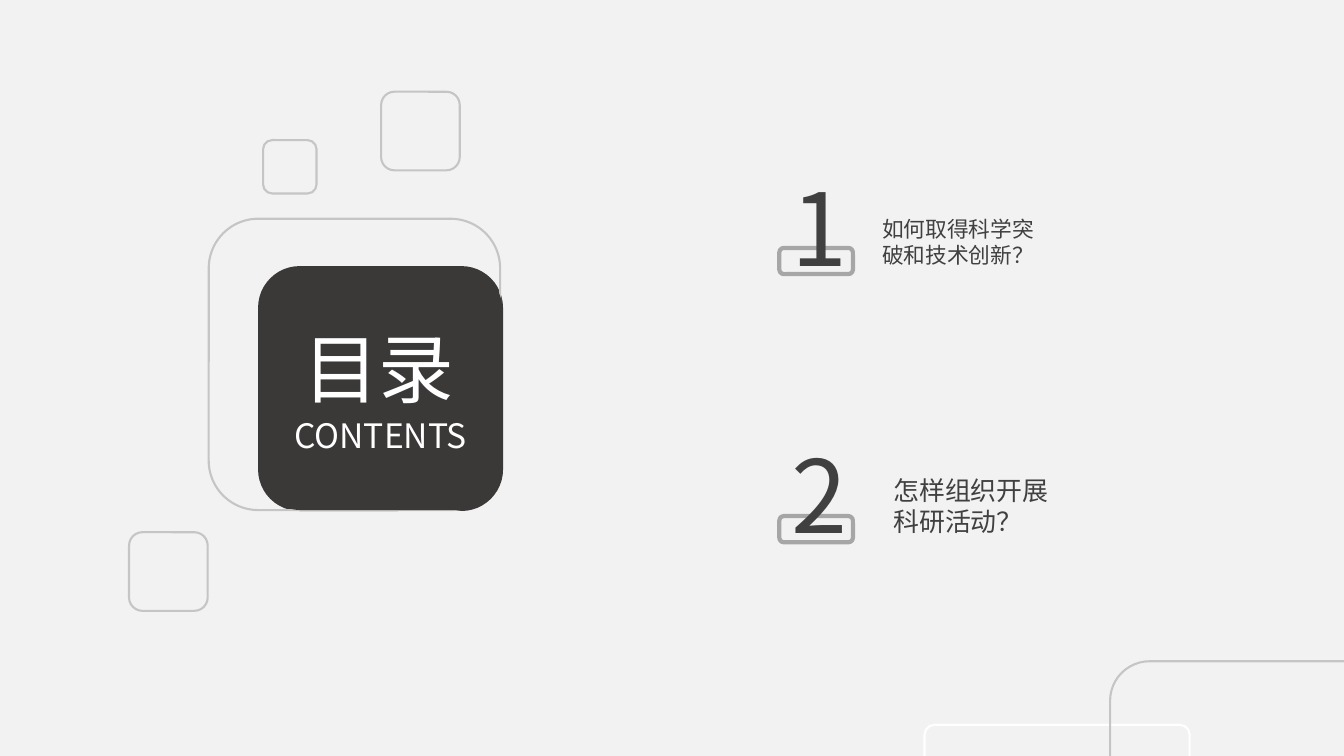
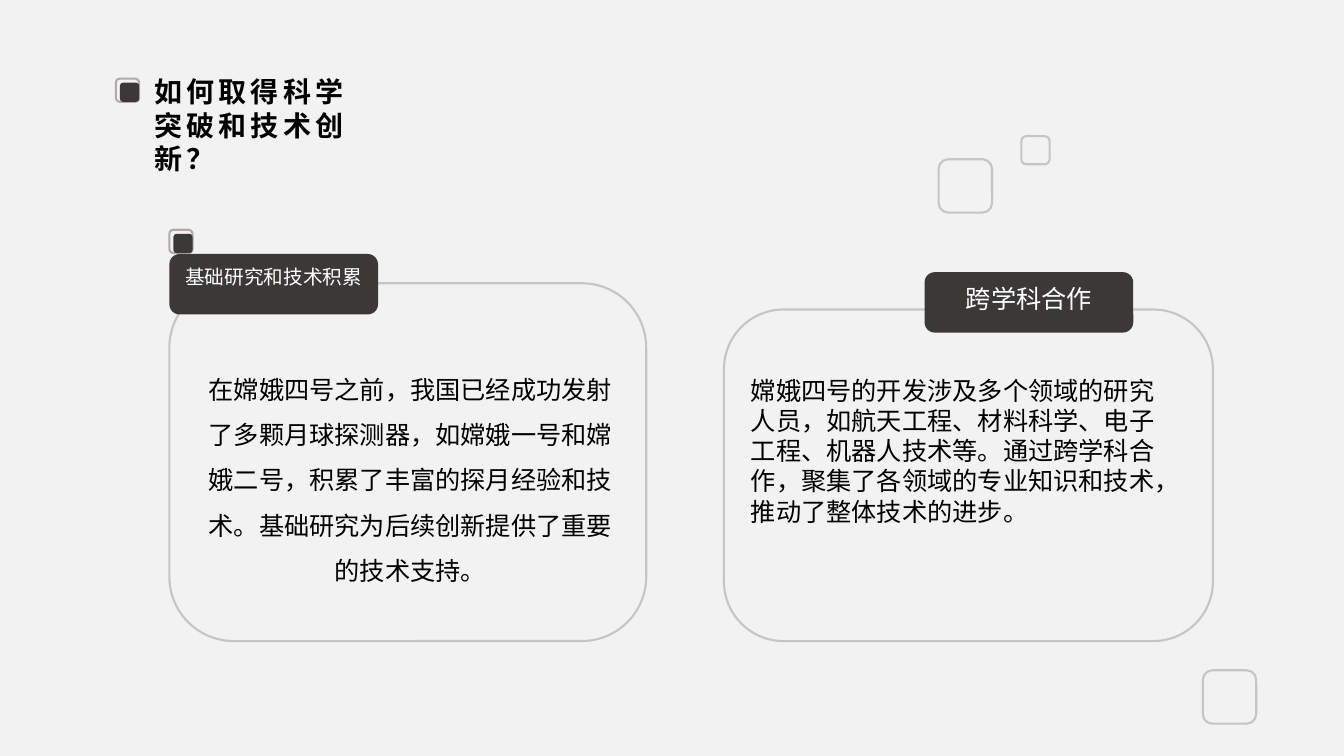
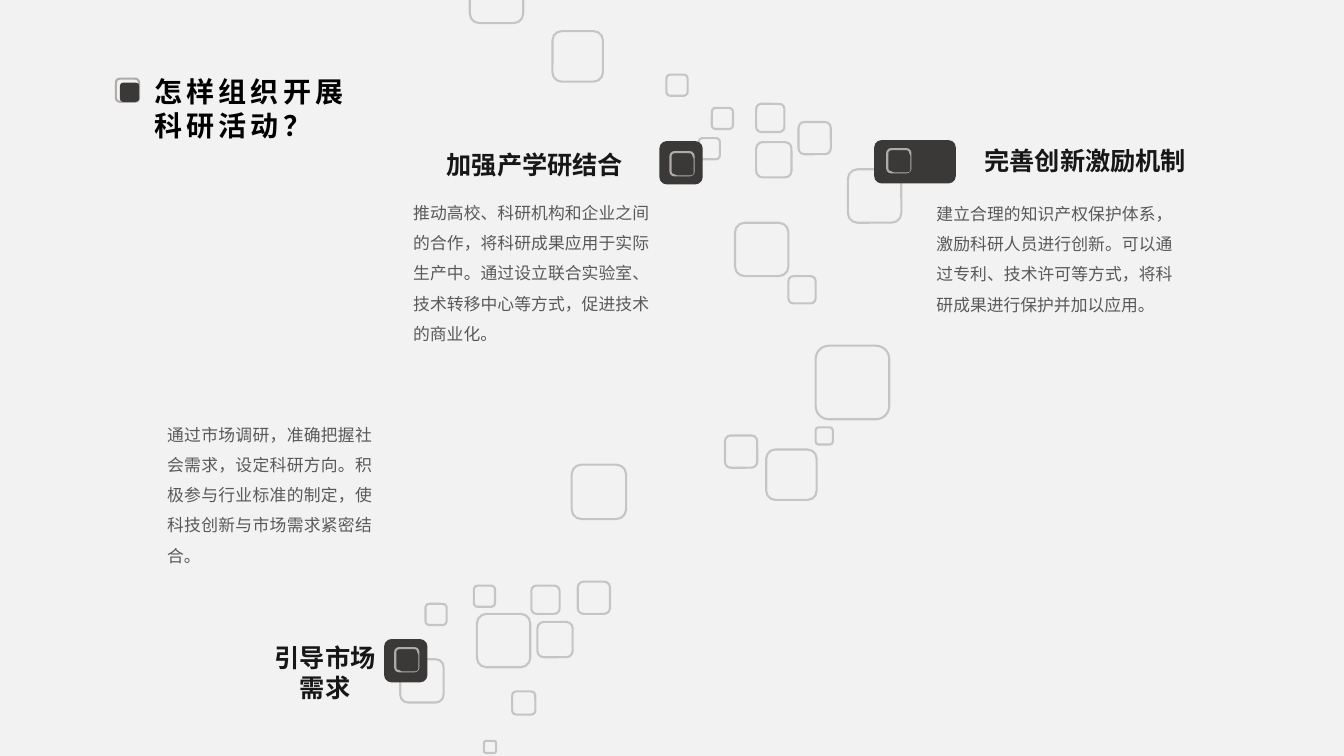
import pptx
import pptx.util
import pptx.dml.color
import pptx.enum.shapes
import pptx.enum.text
import pptx.oxml.ns
import lxml.etree

PX = 9144  # EMU in one px, 100 px to the inch
SANS, HEADING_FONT = "Noto Sans CJK SC", "Arial"
PAPER, DARK, OUTLINE, FRAME = "F2F2F2", "3B3838", "C5C5C5", "AFABAB"
NUMBER_GREY, BODY_GREY, HEADING_INK = "404040", "595959", "181717"
WHITE, BLACK = "FFFFFF", "000000"
ALIGN = pptx.enum.text.PP_ALIGN
rgb = pptx.dml.color.RGBColor.from_string


def add_tile(slide, box, fill=None, line=None, weight=1.5, rounding=0.17):
    tile = slide.shapes.add_shape(
        pptx.enum.shapes.MSO_SHAPE.ROUNDED_RECTANGLE, *[v * PX for v in box])
    tile.shadow.inherit = False
    tile.adjustments[0] = rounding
    if fill:
        tile.fill.solid()
        tile.fill.fore_color.rgb = rgb(fill)
    else:
        tile.fill.background()
    if line:
        tile.line.color.rgb = rgb(line)
        tile.line.width = pptx.util.Pt(weight)
    else:
        tile.line.fill.background()


def add_text(slide, box, text, size, color, font=SANS, bold=False, align=None,
             leading=None, tracking=0, wrap=True, grow=True, fill=None):
    area = slide.shapes.add_textbox(*[v * PX for v in box])
    if fill:
        area.fill.solid()
        area.fill.fore_color.rgb = rgb(fill)
    frame = area.text_frame
    frame.word_wrap = wrap
    if grow:
        frame.auto_size = pptx.enum.text.MSO_AUTO_SIZE.SHAPE_TO_FIT_TEXT
    else:
        frame.vertical_anchor = pptx.enum.text.MSO_ANCHOR.MIDDLE
        frame.margin_left = frame.margin_right = 13 * PX
        frame.margin_top = frame.margin_bottom = 7 * PX
    paragraph = frame.paragraphs[0]
    paragraph.text = text
    paragraph.alignment = align
    paragraph.line_spacing = leading
    paragraph.font.name = font
    paragraph.font.size = pptx.util.Pt(size)
    paragraph.font.bold = bold
    paragraph.font.color.rgb = rgb(color)
    # East Asian typeface and letter spacing
    properties = paragraph._p.get_or_add_pPr().get_or_add_defRPr()
    east_asian = lxml.etree.SubElement(properties, pptx.oxml.ns.qn("a:ea"))
    east_asian.set("typeface", SANS)
    if tracking:
        properties.set("spc", str(tracking * 100))


deck = pptx.Presentation()
deck.slide_width, deck.slide_height = 1333 * PX, 750 * PX
deck.slide_master.background.fill.solid()
deck.slide_master.background.fill.fore_color.rgb = rgb(PAPER)
contents, breakthrough, organising = [
    deck.slides.add_slide(deck.slide_layouts[6]) for _ in range(3)]

# Contents: title block
add_tile(contents, (256, 264, 243, 243), fill=DARK)
for box in [(207, 217, 289, 289), (261, 139, 53, 53),
            (128, 528, 78, 78), (378, 91, 78, 78)]:
    add_tile(contents, box, line=OUTLINE)
add_tile(contents, (257, 265, 241, 241), fill=DARK)
add_text(contents, (282, 407, 201, 50), "CONTENTS", 24, WHITE, wrap=False)
add_text(contents, (291, 314, 174, 101), "目录", 54, WHITE, wrap=False)

# Contents: corner outlines
add_tile(contents, (917, 719, 263, 58), line=WHITE)
add_tile(contents, (1101, 656, 319, 231), line=OUTLINE)

# Contents: numbered chapters
for number, number_top, plate_top, topic_at, topic, size in [
        ("1", 192, 246, (862, 207), "如何取得科学突破和技术创新？", 15.5),
        ("2", 457, 512, (873, 469), "怎样组织开展科研活动？", 18.5)]:
    add_tile(contents, (773, plate_top, 73, 26), line="A6A6A6", weight=3)
    add_text(contents, (772, number_top, 100, 65), number, 72, NUMBER_GREY, grow=False)
    add_text(contents, (*topic_at, 188, 65), topic, size, NUMBER_GREY, grow=False)

# Breakthrough: cards and loose squares
for box in [(718, 307, 485, 329), (168, 281, 473, 355), (931, 158, 53, 53),
            (1013, 135, 28, 28), (1193, 665, 53, 53)]:
    add_tile(breakthrough, box, line=OUTLINE, rounding=0.18)

# Breakthrough: card labels
for left, top, label, size in [(168, 252, "基础研究和技术积累", 14),
                               (917, 270, "跨学科合作", 18)]:
    add_tile(breakthrough, (left, top, 207, 60), fill=DARK)
    add_text(breakthrough, (left, top + 6, 207, 34), label, size, WHITE, align=ALIGN.CENTER)

# Breakthrough: card texts
add_text(breakthrough, (191, 351, 432, 264),
         "在嫦娥四号之前，我国已经成功发射了多颗月球探测器，如嫦娥一号和嫦娥二号，"
         "积累了丰富的探月经验和技术。基础研究为后续创新提供了重要的技术支持。",
         18, BLACK, align=ALIGN.CENTER, leading=1.5, fill=PAPER)
add_text(breakthrough, (735, 367, 444, 188),
         "嫦娥四号的开发涉及多个领域的研究人员，如航天工程、材料科学、电子工程、机器人技术等。"
         "通过跨学科合作，聚集了各领域的专业知识和技术，推动了整体技术的进步。",
         18, BLACK)

# Organising: scattered squares (left, top, side)
for left, top, side in [
        (841, 168, 53), (750, 141, 35), (466, -30, 53), (750, 103, 28),
        (661, 74, 21), (548, 31, 50), (809, 343, 73), (719, 432, 32),
        (567, 461, 54), (792, 121, 32), (706, 107, 21), (693, 137, 21),
        (729, 221, 53), (397, 654, 43), (533, 617, 35), (527, 581, 28),
        (573, 577, 32), (470, 581, 21), (422, 599, 21), (473, 609, 53),
        (782, 274, 27), (809, 424, 17), (508, 686, 23), (480, 735, 12),
        (760, 446, 50)]:
    add_tile(organising, (left, top, side, side), line=OUTLINE, rounding=0.18)

# Organising: three measures, each a dark plate, a heading and a text
for plate, heading_box, heading, body_box, body, body_fill in [
        ((867, 139, 81, 43), (963, 139, 227, 71), "完善创新激励机制",
         (919, 187, 254, 128),
         "建立合理的知识产权保护体系，激励科研人员进行创新。可以通过专利、技术许可等方式，"
         "将科研成果进行保护并加以应用。", PAPER),
        ((381, 634, 43, 43), (262, 632, 121, 71), "引导市场需求",
         (156, 406, 223, 158),
         "通过市场调研，准确把握社会需求，设定科研方向。积极参与行业标准的制定，"
         "使科技创新与市场需求紧密结合。", None),
        ((654, 140, 43, 43), (415, 143, 231, 40), "加强产学研结合",
         (400, 186, 254, 158),
         "推动高校、科研机构和企业之间的合作，将科研成果应用于实际生产中。"
         "通过设立联合实验室、技术转移中心等方式，促进技术的商业化。", None)]:
    add_tile(organising, plate, fill=DARK)
    add_text(organising, heading_box, heading, 18, HEADING_INK,
             font=HEADING_FONT, bold=True, align=ALIGN.CENTER)
    add_text(organising, body_box, body, 12, BODY_GREY,
             align=ALIGN.JUSTIFY, leading=1.5, fill=body_fill)

# Slide titles and their markers: a dark core inside an outlined frame
for slide, title, markers in [
        (breakthrough, "如何取得科学突破和技术创新？", [(115, 78), (168, 228)]),
        (organising, "怎样组织开展科研活动？",
         [(115, 78), (665, 151), (880, 148), (392, 643)])]:
    add_text(slide, (143, 69, 223, 77), title, 20, BLACK, bold=True, tracking=3)
    for left, top in markers:
        add_tile(slide, (left, top, 23, 23), line=FRAME)
        add_tile(slide, (left + 4, top + 4, 19, 19), fill=DARK)

deck.save("out.pptx")
